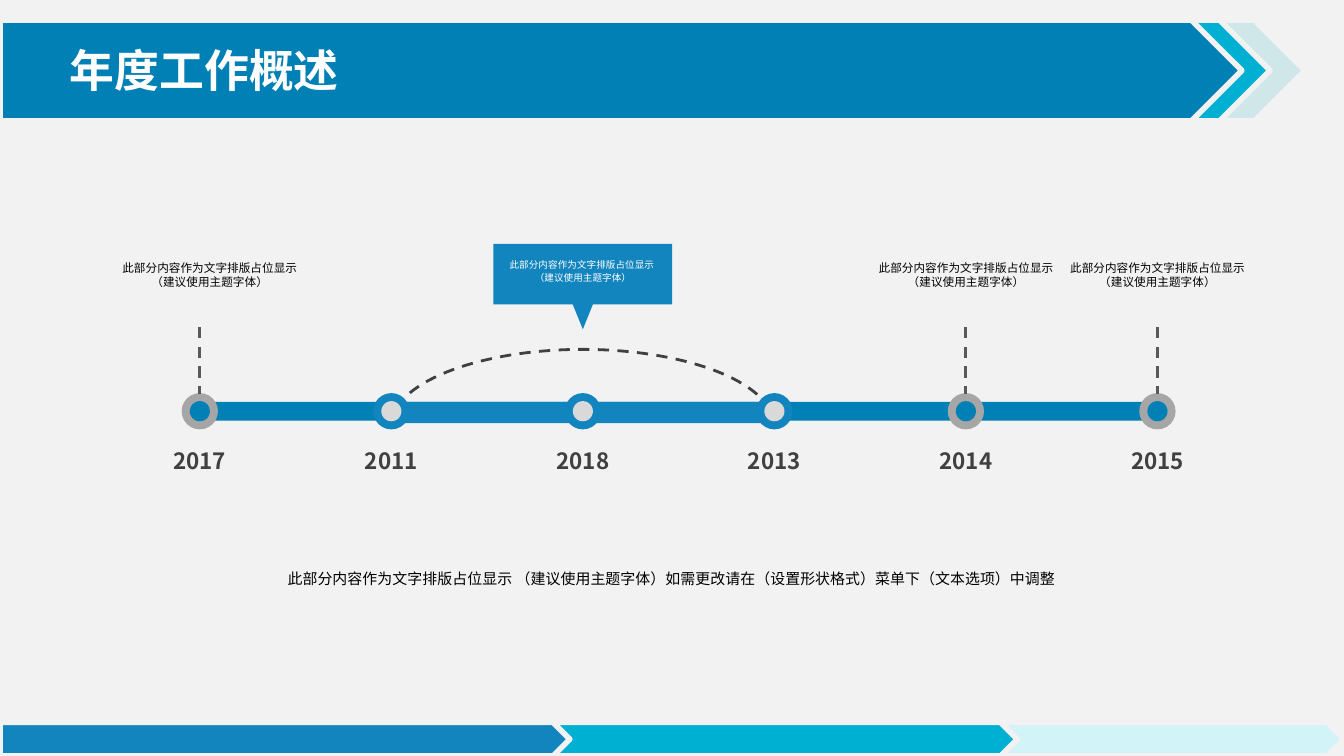
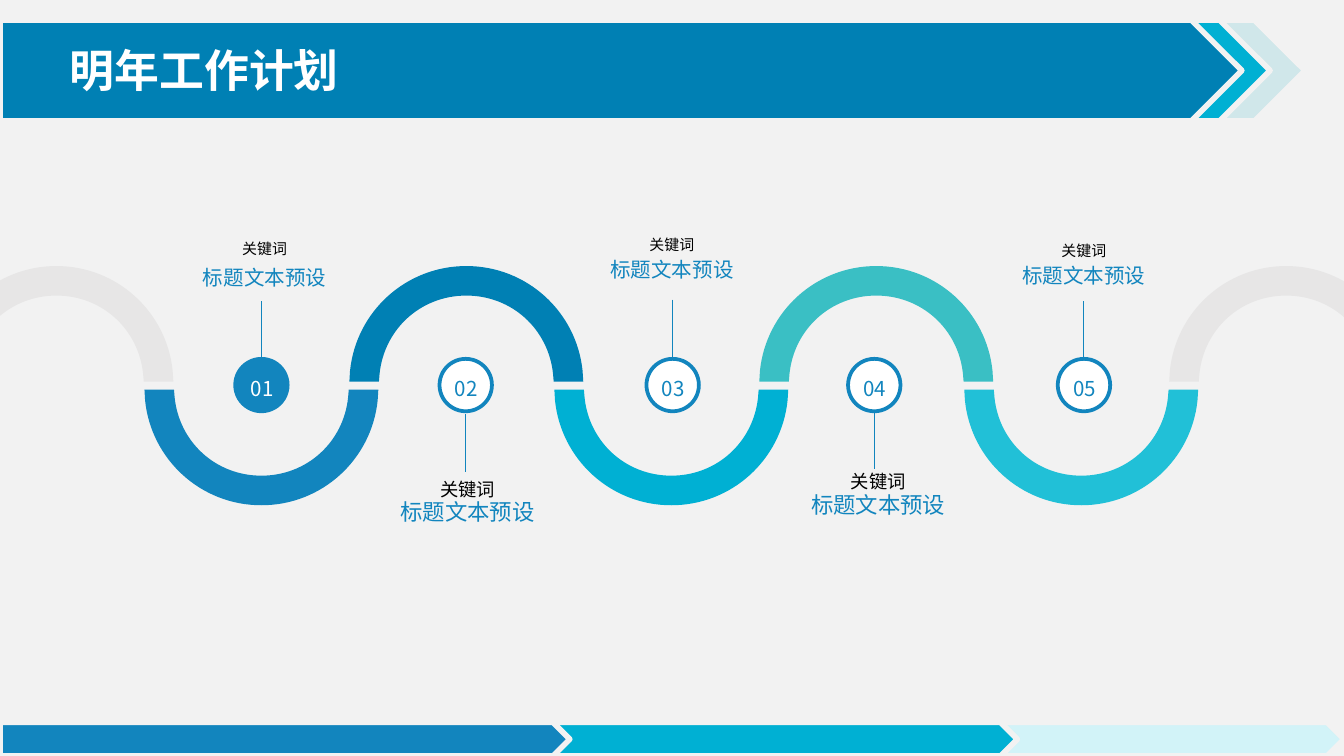
from lxml import etree
from pptx import Presentation
from pptx.dml.color import RGBColor
from pptx.enum.dml import MSO_LINE
from pptx.enum.shapes import MSO_CONNECTOR, MSO_SHAPE
from pptx.enum.text import MSO_ANCHOR, MSO_AUTO_SIZE, PP_ALIGN
from pptx.oxml.ns import qn
from pptx.util import Inches, Pt

PLATE, RECT, OVAL = MSO_SHAPE.PENTAGON, MSO_SHAPE.RECTANGLE, MSO_SHAPE.OVAL
BRACKET = MSO_SHAPE.LEFT_BRACKET
STRAIGHT = MSO_CONNECTOR.STRAIGHT
DASH = MSO_LINE.DASH
LEFT, CENTER = PP_ALIGN.LEFT, PP_ALIGN.CENTER
TOP, MIDDLE = MSO_ANCHOR.TOP, MSO_ANCHOR.MIDDLE
GROW = MSO_AUTO_SIZE.SHAPE_TO_FIT_TEXT

FONT = "Noto Sans CJK SC"
PAPER, WHITE, BLACK = "F2F2F2", "FFFFFF", "000000"
BLUE, DEEP, CYAN = "1285BE", "0080B4", "00B0D3"
TEAL, AQUA, MIST = "3ABFC4", "21C0D7", "E7E6E6"
DARK, SLATE, GREY, PALE = "404040", "595959", "A6A6A6", "D9D9D9"

WIDTH, HEIGHT = Inches(10), Inches(5.625)
COLS = 100  # square cells: 100 columns by 56.25 rows
HEAD = ((97.1, "D0E7EA"), (94.5, CYAN), (92.4, DEEP))
FOOT = ((100, "D2F3F8"), (75.7, CYAN), (42.4, BLUE))

# Half ring around its foot: corners, with the first points of the curves
RING = ((-8.7, 0), (-6.5, 0), (-6.45, 0.6),
        (-6.1, 3.9), (-3.4, 6.4), (0, 6.4),
        (3.4, 6.4), (6.1, 3.9), (6.45, 0.6),
        (6.5, 0), (8.7, 0), (8.65, 0.8),
        (8.2, 5.2), (4.5, 8.6), (0, 8.6),
        (-4.5, 8.6), (-8.2, 5.2), (-8.65, 0.8))
BENDS = (3, 6, 12, 15)


def grid(*cells):
    return [round(WIDTH * cell / COLS) for cell in cells]


def rgb(code):
    return RGBColor.from_string(code)


def assign(target, values):
    for name, value in values.items():
        setattr(target, name, value)


class Deck:
    def __init__(self):
        self.prs = Presentation()
        assign(self.prs, {"slide_width": WIDTH, "slide_height": HEIGHT})
        self.shapes = None

    def start(self, title):
        """Add a slide with its bands and title."""
        slide = self.prs.slides.add_slide(self.prs.slide_layouts[6])
        slide.background.fill.solid()
        slide.background.fill.fore_color.rgb = rgb(PAPER)
        self.shapes = slide.shapes
        for top, tall, bands in ((1.5, 7.5, HEAD), (53.75, 2.5, FOOT)):
            for wide, fill in bands:
                self.shape(PLATE, (0, top, wide, tall), fill, (PAPER, 3))
        self.text(title, (4.45, 2.8, 33.4, 4.8), 24, WHITE, bold=True,
                  align=LEFT, inset=(0.75, 0.4), auto=GROW)

    def stroke(self, line, color, width, dash=None):
        line.color.rgb = rgb(color)
        line.width = Pt(width)
        if dash:
            line.dash_style = dash

    def paint(self, shape, fill, line=None):
        shape.shadow.inherit = False
        if fill:
            shape.fill.solid()
            shape.fill.fore_color.rgb = rgb(fill)
        else:
            shape.fill.background()
        if line:
            self.stroke(shape.line, *line)
        else:
            shape.line.fill.background()
        return shape

    def shape(self, kind, box, fill, line=None):
        return self.paint(self.shapes.add_shape(kind, *grid(*box)), fill, line)

    def disc(self, x, y, size, fill, line=None):
        """Draw a circle about its centre."""
        self.shape(OVAL, (x - size / 2, y - size / 2, size, size), fill, line)

    def outline(self, points, fill, bends=()):
        """Draw a closed form; each bend is the first of three curve points."""
        first, *rest = [grid(*point) for point in points]
        path = self.shapes.build_freeform(*first)
        path.add_line_segments(rest)
        form = self.paint(path.convert_to_shape(), fill)
        lines = list(form.element.iter(qn("a:lnTo")))
        for bend in bends:
            start, *others = lines[bend - 1:bend + 2]
            start.tag = qn("a:cubicBezTo")
            for line in others:
                start.append(line[0])
                line.getparent().remove(line)

    def arch(self, x, base, side, fill):
        """Draw half a ring; side is -1 for up and 1 for down."""
        points = [(x + dx, base + side * dy) for dx, dy in RING]
        self.outline(points, fill, BENDS)

    def stem(self, x, top, foot, *style):
        line = self.shapes.add_connector(STRAIGHT, *grid(x, top, x, foot))
        self.stroke(line.line, *style)
        props = line.element.find(qn("p:spPr"))
        etree.SubElement(props, qn("a:effectLst"))

    def text(self, words, box, size, color, bold=False, align=CENTER,
             anchor=TOP, inset=(0, 0), wrap=True, space=None, auto=None):
        frame = self.shapes.add_textbox(*grid(*box)).text_frame
        side, edge = grid(*inset)
        assign(frame, {"word_wrap": wrap, "vertical_anchor": anchor,
                       "margin_left": side, "margin_right": side,
                       "margin_top": edge, "margin_bottom": edge})
        if auto:
            frame.auto_size = auto
        para = frame.paragraphs[0]
        para.text = words
        assign(para, {"alignment": align, "line_spacing": space})
        for run in para.runs:
            assign(run.font, {"name": FONT, "size": Pt(size), "bold": bold})
            run.font.color.rgb = rgb(color)
            east = etree.SubElement(run.font._element, qn("a:ea"))
            east.set("typeface", FONT)
        for gap in para._p.iter(qn("a:br")):
            mark = etree.SubElement(gap, qn("a:rPr"))
            mark.set("sz", str(round(size * 100)))
            for tag in ("a:latin", "a:ea"):
                etree.SubElement(mark, qn(tag)).set("typeface", FONT)

    def label(self, words, box, size, color, bold=False):
        self.text(words, box, size, color, bold, anchor=MIDDLE, wrap=False)


def review(deck):
    deck.start("年度工作概述")
    hint = "此部分内容作为文字排版占位显示\n（建议使用主题字体）"
    years = ("2017", "2011", "2018", "2013", "2014", "2015")
    axis = 30.6
    spots = [14.87 + 14.25 * n for n in range(len(years))]

    arc = deck.shape(BRACKET, (40.5, 14.6, 5.7, 28.5), None, (DARK, 1.5, DASH))
    arc.rotation = 90
    arc.adjustments[0] = 4.3
    mid = spots[2]
    left, right, top, foot = mid - 6.65, mid + 6.65, 18.15, 22.65
    deck.outline([(left, top), (right, top), (right, foot), (mid + 0.75, foot),
                  (mid, 24.5), (mid - 0.75, foot), (left, foot)], BLUE)
    deck.shape(RECT, (14.9, 29.9, 71.7, 1.4), DEEP)
    deck.shape(RECT, (29.1, 29.9, 28.5, 1.6), BLUE)

    for n, (x, year) in enumerate(zip(spots, years)):
        active = 1 <= n <= 3
        deck.disc(x, axis, 2.7, BLUE if active else GREY)
        deck.disc(x, axis, 1.5, PALE if active else DEEP)
        deck.label(year, (x - 3.9, 32.9, 7.8, 2.7), 12, DARK, bold=True)
        if not active:
            left = x - 7.1 if n else 8.5
            deck.stem(x, 24.35, 29.3, SLATE, 1.5, DASH)
            deck.text(hint, (left, 19.4, 14.2, 3), 6.2, BLACK)

    deck.text(hint.replace("\n", " \n"), (mid - 7.1, 18.7, 14.2, 3.8), 5.1,
              WHITE, inset=(1, 0.5), space=1.1)
    deck.text("此部分内容作为文字排版占位显示 （建议使用主题字体）如需更改请在"
              "（设置形状格式）菜单下（文本选项）中调整",
              (16.2, 42.1, 67.6, 7.4), 8, BLACK, space=1.2)


def plan(deck):
    deck.start("明年工作计划")
    tints = (MIST, BLUE, DEEP, CYAN, TEAL, AQUA, MIST)
    for n, tint in enumerate(tints):
        base, side = (29, 1) if n % 2 else (28.4, -1)
        deck.arch(4.2 + 15.25 * n, base, side, tint)

    # badge centre, label centre, stem top, then top and height of both labels
    steps = ((19.45, 19.7, 22.4, (17.75, 1.5), (19.7, 1.8)),
             (34.65, 34.8, 30.8, (35.7, 1.4), (37.1, 2)),
             (50.05, 50, 22.3, (17.2, 2), (19.15, 1.8)),
             (65.05, 65.35, 30.6, (35.1, 1.4), (36.55, 2)),
             (80.65, 80.65, 22.4, (17.65, 2), (19.6, 1.8)))
    for n, (x, mid, top, key, name) in enumerate(steps):
        small, large = (9.8, 12) if n % 2 else (8, 11)
        fill, ink = (WHITE, BLUE) if n else (BLUE, WHITE)
        deck.stem(x, top, top + 4.3, BLUE, 0.5)
        for words, (y, tall), size, color in (
                ("关键词", key, small, BLACK),
                ("标题文本预设", name, large, BLUE)):
            deck.label(words, (mid - 5.5, y, 11, tall), size, color)
        deck.disc(x, 28.65, 3.9, fill, (BLUE, 2))
        deck.text(f"{n + 1:02}", (x - 2.1, 27.5, 4.3, 2.7), 11, ink,
                  inset=(1, 0.5))


def main():
    deck = Deck()
    review(deck)
    plan(deck)
    deck.prs.save("out.pptx")


if __name__ == "__main__":
    main()
